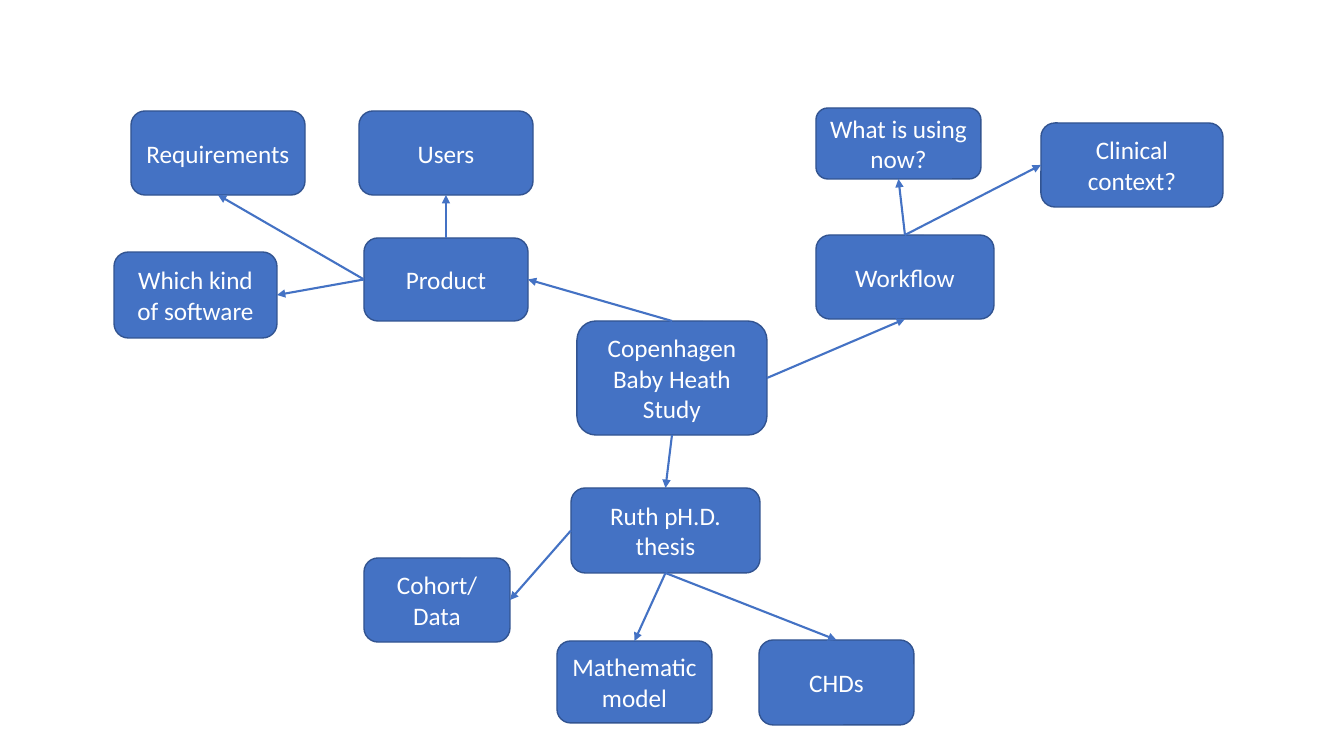
"""Draw the mind map of the baby health study."""
from typing import Any, NamedTuple

from pptx import Presentation
from pptx import util as u
from pptx.dml.color import RGBColor
from pptx.enum import shapes, text
from pptx.oxml.ns import qn
from lxml import etree

PX = 914400 / 100.8
HUES = {"fill": "4472C4", "edge": "325491", "text": "FFFFFF"}
TOP, LEFT, BASE, RIGHT = range(4)
FRAME = {"word_wrap": True, "vertical_anchor": text.MSO_ANCHOR.MIDDLE}
FONT = {"name": "Calibri", "size": u.Pt(18)}


class Node(NamedTuple):
    """A rounded box with its label, in pixels."""
    label: str
    x: int
    y: int
    w: int
    h: int


class Link(NamedTuple):
    """An arrow between the sides of two nodes."""
    start: str
    out: int
    end: str
    into: int


NODES = {
    "study": Node("Copenhagen Baby Heath Study", 577, 321, 190, 114),
    "needs": Node("Requirements", 131, 111, 174, 84),
    "product": Node("Product", 364, 238, 164, 83),
    "users": Node("Users", 359, 111, 174, 84),
    "thesis": Node("Ruth pH.D. thesis", 571, 488, 189, 85),
    "cohort": Node("Cohort/\nData", 364, 558, 146, 84),
    "model": Node("Mathematic model", 557, 641, 155, 82),
    "chds": Node("CHDs", 759, 640, 155, 85),
    "flow": Node("Workflow", 816, 235, 178, 84),
    "now": Node("What is using now?", 816, 108, 165, 71),
    "clinic": Node("Clinical context?", 1041, 123, 182, 84),
    "kind": Node("Which kind of software", 114, 252, 163, 86),
}
LINKS = [
    Link("study", TOP, "product", RIGHT),
    Link("study", BASE, "thesis", TOP),
    Link("study", RIGHT, "flow", BASE),
    Link("product", LEFT, "needs", BASE),
    Link("product", TOP, "users", BASE),
    Link("product", LEFT, "kind", RIGHT),
    Link("thesis", LEFT, "cohort", RIGHT),
    Link("thesis", BASE, "model", TOP),
    Link("thesis", BASE, "chds", TOP),
    Link("flow", TOP, "now", BASE),
    Link("flow", TOP, "clinic", LEFT),
]


def px(n: int) -> u.Emu:
    """Turn pixels into EMU."""
    return u.Emu(round(n * PX))


def hue(name: str) -> RGBColor:
    """Look up a colour."""
    return RGBColor.from_string(HUES[name])


def apply(item: Any, values: dict[str, Any]) -> None:
    """Set each format value on an item."""
    for key, value in values.items():
        setattr(item, key, value)


def stroke(line: Any, name: str, width: float) -> None:
    """Colour and size a line."""
    line.color.rgb = hue(name)
    line.width = u.Pt(width)


def draw_node(slide: Any, node: Node) -> Any:
    """Add a labelled rounded box."""
    box = slide.shapes.add_shape(shapes.MSO_SHAPE.ROUNDED_RECTANGLE, *map(px, node[1:]))
    box.shadow.inherit = False
    box.fill.solid()
    box.fill.fore_color.rgb = hue("fill")
    stroke(box.line, "edge", 1)
    frame = box.text_frame
    frame.text = node.label
    apply(frame, FRAME)
    for para in frame.paragraphs:
        para.alignment = text.PP_ALIGN.CENTER
        apply(para.runs[0].font, FONT)
        para.runs[0].font.color.rgb = hue("text")
    return box


def draw_link(slide: Any, link: Link, boxes: dict[str, Any]) -> None:
    """Add an arrow glued to two boxes."""
    arrow = slide.shapes.add_connector(shapes.MSO_CONNECTOR.STRAIGHT, 0, 0, 0, 0)
    arrow.begin_connect(boxes[link.start], link.out)
    arrow.end_connect(boxes[link.end], link.into)
    stroke(arrow.line, "fill", 1.5)
    props = arrow.element.spPr
    etree.SubElement(props.find(qn("a:ln")), qn("a:tailEnd"), type="triangle")
    etree.SubElement(props, qn("a:effectLst"))


def main() -> None:
    """Build and save the slide."""
    deck = Presentation()
    apply(deck, {"slide_width": px(1344), "slide_height": px(756)})
    slide = deck.slides.add_slide(deck.slide_layouts[6])
    boxes = {key: draw_node(slide, node) for key, node in NODES.items()}
    for link in LINKS:
        draw_link(slide, link, boxes)
    deck.save("out.pptx")


main()
